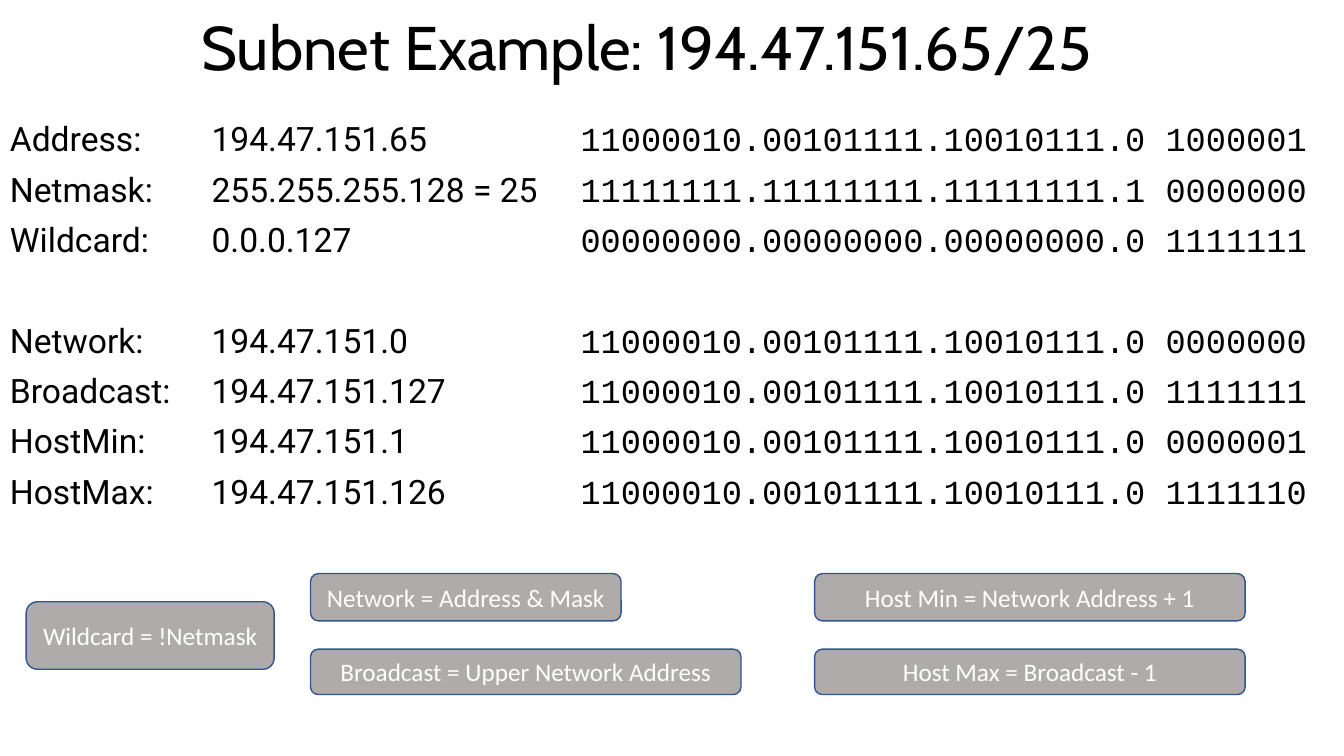
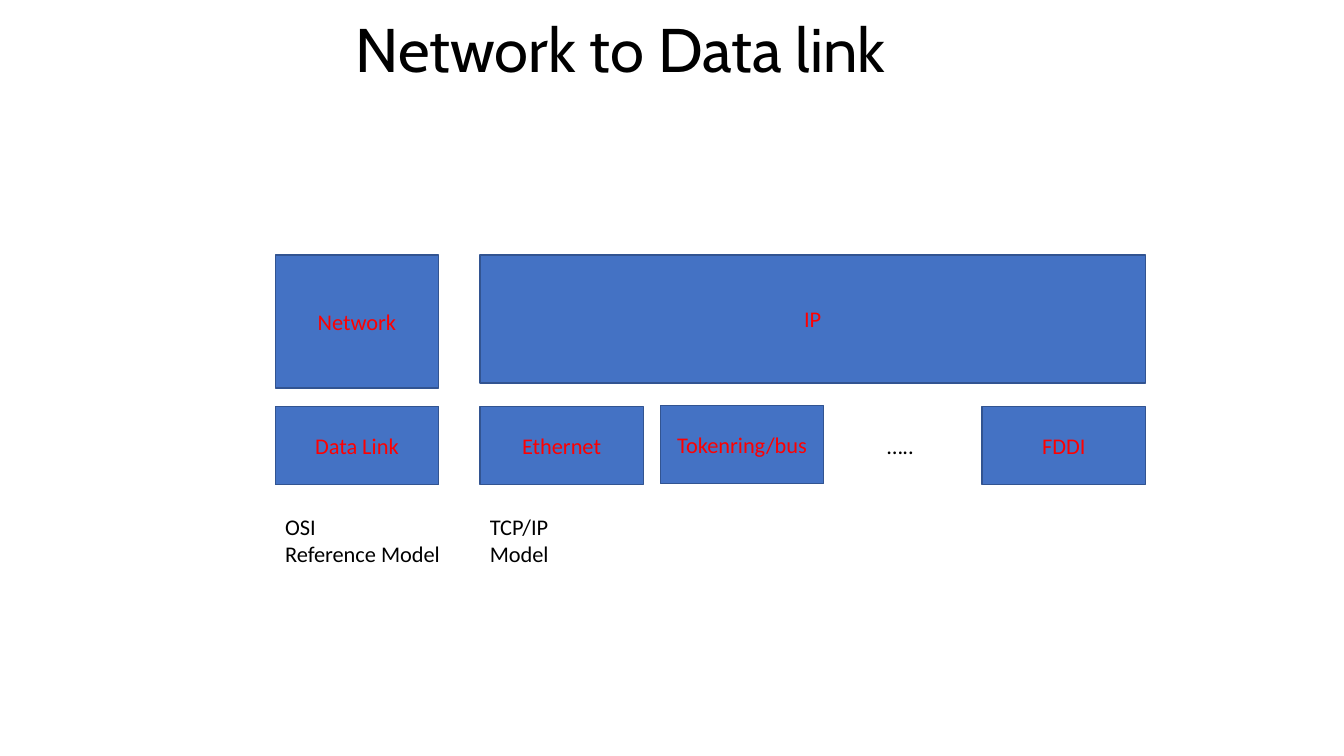
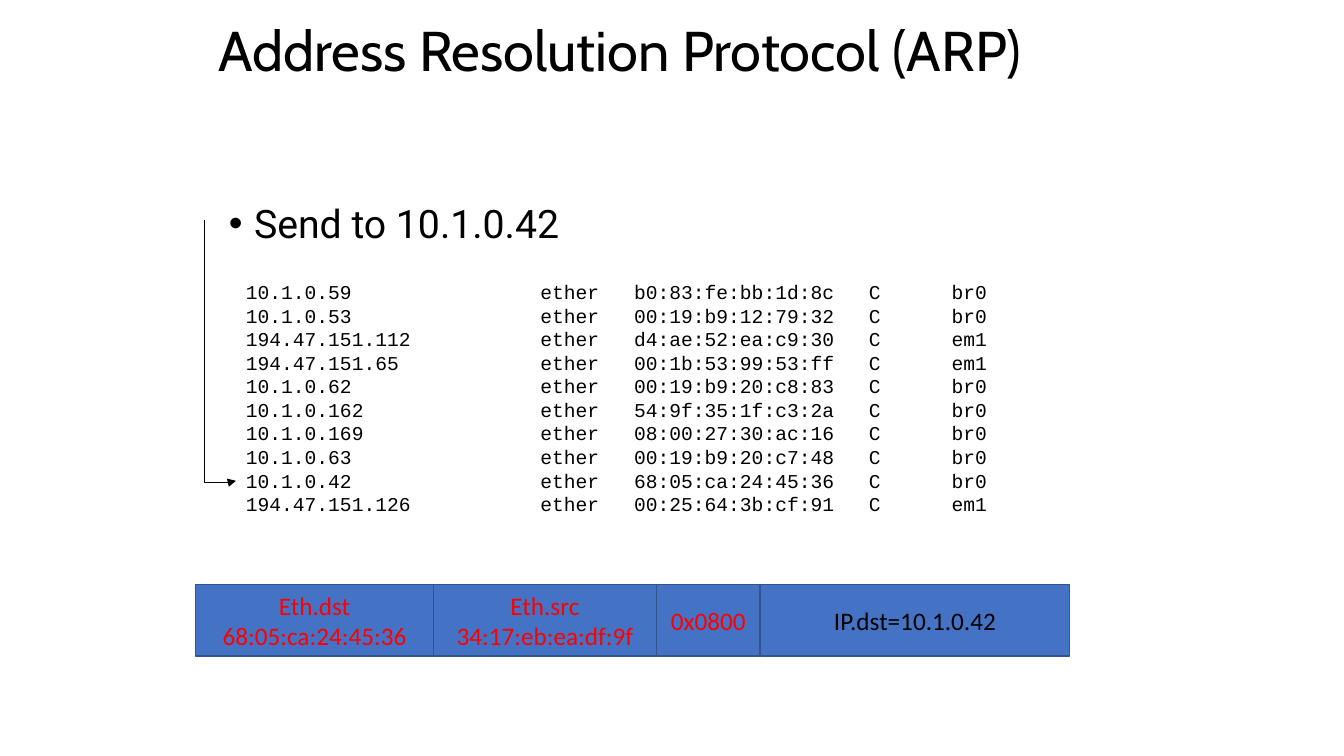
from lxml import etree
from pptx import Presentation
from pptx.dml.color import RGBColor
from pptx.enum.shapes import MSO_CONNECTOR as CONNECTOR, MSO_SHAPE as SHAPE
from pptx.enum.text import MSO_ANCHOR as ANCHOR, MSO_AUTO_SIZE as AUTO_SIZE, PP_ALIGN as ALIGN
from pptx.oxml.ns import qn
from pptx.util import Pt

PX = 9144  # EMU per px, 100 px to the inch
COLOURS = {
    "black": "000000",
    "white": "FFFFFF",
    "red": "FF0000",
    "blue": "4472C4",
    "outline": "325491",
    "grey": "AFABAB",
}
HEADING, BODY, LABEL, MONO = "Cabin", "Roboto", "Calibri", "Courier New"
TITLE_AND_BODY, TITLE_ONLY = 1, 5
LINE_SPACING, SPACE_BEFORE = 0.9, 10
BLANK_LINE = 36

ADDRESS_TABS = (200, 566)
ADDRESS_ROWS = [
    ("Address:", "194.47.151.65", "11000010.00101111.10010111.0 1000001"),
    ("Netmask:", "255.255.255.128 = 25", "11111111.11111111.11111111.1 0000000"),
    ("Wildcard:", "0.0.0.127", "00000000.00000000.00000000.0 1111111"),
    ("Network:", "194.47.151.0", "11000010.00101111.10010111.0 0000000"),
    ("Broadcast:", "194.47.151.127", "11000010.00101111.10010111.0 1111111"),
    ("HostMin:", "194.47.151.1", "11000010.00101111.10010111.0 0000001"),
    ("HostMax:", "194.47.151.126", "11000010.00101111.10010111.0 1111110"),
]
NEW_GROUP = "Network:"

ARP_TABS = (292, 385, 618, 700)
ARP_ROWS = [
    ("10.1.0.59", "b0:83:fe:bb:1d:8c", "br0"),
    ("10.1.0.53", "00:19:b9:12:79:32", "br0"),
    ("194.47.151.112", "d4:ae:52:ea:c9:30", "em1"),
    ("194.47.151.65", "00:1b:53:99:53:ff", "em1"),
    ("10.1.0.62", "00:19:b9:20:c8:83", "br0"),
    ("10.1.0.162", "54:9f:35:1f:c3:2a", "br0"),
    ("10.1.0.169", "08:00:27:30:ac:16", "br0"),
    ("10.1.0.63", "00:19:b9:20:c7:48", "br0"),
    ("10.1.0.42", "68:05:ca:24:45:36", "br0"),
    ("194.47.151.126", "00:25:64:3b:cf:91", "em1"),
]


def emu(*lengths):
    return [length * PX for length in lengths]


def colour(name):
    return RGBColor.from_string(COLOURS[name])


def add_run(paragraph, text, font, size, text_colour="black"):
    run = paragraph.add_run()
    run.text = text
    run.font.name = font
    run.font.size = Pt(size)
    run.font.color.rgb = colour(text_colour)


def add_lines(frame, lines, font, size, text_colour="black", align=ALIGN.LEFT):
    for paragraph, line in zip(paragraphs(frame, len(lines)), lines):
        paragraph.alignment = align
        add_run(paragraph, line, font, size, text_colour)


def paragraphs(frame, count):
    """Yield the frame's first paragraph, then new ones, count in all."""
    for index in range(count):
        yield frame.add_paragraph() if index else frame.paragraphs[0]


def set_tabs(paragraph, positions):
    tabs = etree.SubElement(paragraph._p.get_or_add_pPr(), qn("a:tabLst"))
    for position in positions:
        etree.SubElement(tabs, qn("a:tab"), pos=str(position * PX), algn="l")


def set_bullet(paragraph, character, indent):
    properties = paragraph._p.get_or_add_pPr()
    properties.set("marL", str(indent * PX))
    properties.set("indent", str(-indent * PX))
    etree.SubElement(properties, qn("a:buFont"), typeface="Arial")
    etree.SubElement(properties, qn("a:buChar"), char=character)


def set_spacing(paragraph, gap=0):
    paragraph.line_spacing = LINE_SPACING
    paragraph.space_before = Pt(SPACE_BEFORE + gap)


def place(shape, box):
    shape.left, shape.top, shape.width, shape.height = emu(*box)
    frame = shape.text_frame
    frame.word_wrap = True
    frame.auto_size = AUTO_SIZE.NONE
    return frame


def add_titled_slide(presentation, layout, title, box, size=44):
    slide = presentation.slides.add_slide(presentation.slide_layouts[layout])
    frame = place(slide.shapes.title, box)
    frame.vertical_anchor = ANCHOR.MIDDLE
    frame.paragraphs[0].line_spacing = LINE_SPACING
    add_lines(frame, [title], HEADING, size, align=ALIGN.CENTER)
    return slide


def add_block(slide, box, lines, size, fill="blue", text_colour="red", kind=SHAPE.RECTANGLE):
    shape = slide.shapes.add_shape(kind, *emu(*box))
    shape.shadow.inherit = False
    shape.fill.solid()
    shape.fill.fore_color.rgb = colour(fill)
    shape.line.color.rgb = colour("outline")
    shape.line.width = Pt(1)
    frame = shape.text_frame
    frame.word_wrap = True
    frame.vertical_anchor = ANCHOR.MIDDLE
    add_lines(frame, lines, LABEL, size, text_colour, ALIGN.CENTER)


def add_text_box(slide, box):
    return place(slide.shapes.add_textbox(*emu(*box)), box)


def add_caption(slide, box, lines):
    add_lines(add_text_box(slide, box), lines, LABEL, 16)


def add_address_rows(slide, box):
    frame = add_text_box(slide, box)
    for paragraph, row in zip(paragraphs(frame, len(ADDRESS_ROWS)), ADDRESS_ROWS):
        label, address, bits = row
        set_spacing(paragraph, BLANK_LINE if label == NEW_GROUP else 0)
        set_tabs(paragraph, ADDRESS_TABS)
        add_run(paragraph, f"{label}\t{address}\t", BODY, 24)
        add_run(paragraph, bits, MONO, 24)


def add_rules(slide, box):
    """Place the five subnet rules in three columns."""
    left, top, _, _ = box
    second, third, lower = left + 282, left + 782, top + 75
    rules = [
        ((left, top + 28, 246, 67), "Wildcard = !Netmask"),
        ((second, top, 308, 47), "Network = Address & Mask"),
        ((second, lower, 427, 45), "Broadcast = Upper Network Address"),
        ((third, top, 427, 47), "Host Min = Network Address + 1"),
        ((third, lower, 427, 45), "Host Max = Broadcast - 1"),
    ]
    for rule_box, text in rules:
        add_block(slide, rule_box, [text], 18, "grey", "white", SHAPE.ROUNDED_RECTANGLE)


def add_layer_stack(slide, box):
    """Place the OSI column beside the TCP/IP layers."""
    left, top, width, _ = box
    cell, cell_height = 162, 78
    model = left + 203
    link_top, caption_top = top + 150, top + 251
    last = left + width - cell
    blocks = [
        ((left, link_top, cell, cell_height), "Data Link"),
        ((left, top, cell, 132), "Network"),
        ((model, link_top, cell, cell_height), "Ethernet"),
        ((model, top, left + width - model, 127), "IP"),
        ((model + 179, link_top - 1, cell, cell_height), "Tokenring/bus"),
        ((last, link_top, cell, cell_height), "FDDI"),
    ]
    for block_box, text in blocks:
        add_block(slide, block_box, [text], 16)
    add_caption(slide, (left, caption_top, 176, 64), ["OSI", "Reference Model"])
    add_caption(slide, (model, caption_top, 176, 64), ["TCP/IP", "Model"])
    add_caption(slide, (last - 104, link_top + 21, 57, 37), ["….."])


def fill_bullet(placeholder, box, text):
    paragraph = place(placeholder, box).paragraphs[0]
    set_spacing(paragraph)
    set_bullet(paragraph, "•", 25)
    add_run(paragraph, text, BODY, 28)


def add_arp_cache(slide, box):
    frame = add_text_box(slide, box)
    for paragraph, row in zip(paragraphs(frame, len(ARP_ROWS)), ARP_ROWS):
        address, hardware, interface = row
        set_tabs(paragraph, ARP_TABS)
        add_run(paragraph, "\t".join((address, "ether", hardware, "C", interface)), MONO, 14)


def add_lookup_arrow(slide, box):
    """Draw an elbow down the left side of the box, then right to its lower corner."""
    left, top, width, height = box
    # The elbow is laid out lying down, then turned a quarter about its centre.
    flat_left = left + (width - height) // 2
    flat_top = top + (height - width) // 2
    start = (flat_left + height, flat_top)
    end = (flat_left, flat_top + width)
    arrow = slide.shapes.add_connector(CONNECTOR.ELBOW, *emu(*start, *end))
    arrow.line.color.rgb = colour("black")
    arrow.line.width = Pt(0.5)
    properties = arrow._element.spPr
    properties.find(qn("a:xfrm")).set("rot", "16200000")
    adjustments = properties.find(qn("a:prstGeom")).get_or_add_avLst()
    etree.SubElement(adjustments, qn("a:gd"), name="adj1", fmla="val 100600")
    etree.SubElement(arrow.line._get_or_add_ln(), qn("a:tailEnd"), type="triangle")
    etree.SubElement(properties, qn("a:effectLst"))


def add_ethernet_frame(slide, box):
    left, top, _, height = box
    fields = [
        (236, ["Eth.dst", "68:05:ca:24:45:36"], "red"),
        (221, ["Eth.src", "34:17:eb:ea:df:9f"], "red"),
        (103, ["0x0800"], "red"),
        (307, ["IP.dst=10.1.0.42"], "black"),
    ]
    for width, lines, text_colour in fields:
        add_block(slide, (left, top, width, height), lines, 18, text_colour=text_colour)
        left += width


def build_subnet_slide(presentation):
    slide = add_titled_slide(presentation, TITLE_ONLY,
                             "Subnet Example: 194.47.151.65/25", (166, 0, 951, 100))
    add_address_rows(slide, (0, 117, 1333, 558))
    add_rules(slide, (26, 569, 1209, 120))


def build_layers_slide(presentation):
    slide = add_titled_slide(presentation, TITLE_ONLY,
                             "Network to Data link", (129, 0, 973, 105))
    add_layer_stack(slide, (273, 253, 863, 315))


def build_arp_slide(presentation):
    slide = add_titled_slide(presentation, TITLE_AND_BODY,
                             "Address Resolution Protocol (ARP)", (128, 0, 973, 105), 40)
    fill_bullet(slide.placeholders[1], (217, 198, 900, 77), "Send to 10.1.0.42")
    add_arp_cache(slide, (234, 273, 780, 269))
    add_lookup_arrow(slide, (203, 218, 31, 259))
    add_ethernet_frame(slide, (194, 580, 867, 71))


def main():
    presentation = Presentation()
    presentation.slide_width, presentation.slide_height = emu(1333, 750)
    build_subnet_slide(presentation)
    build_layers_slide(presentation)
    build_arp_slide(presentation)
    presentation.save("out.pptx")


if __name__ == "__main__":
    main()
